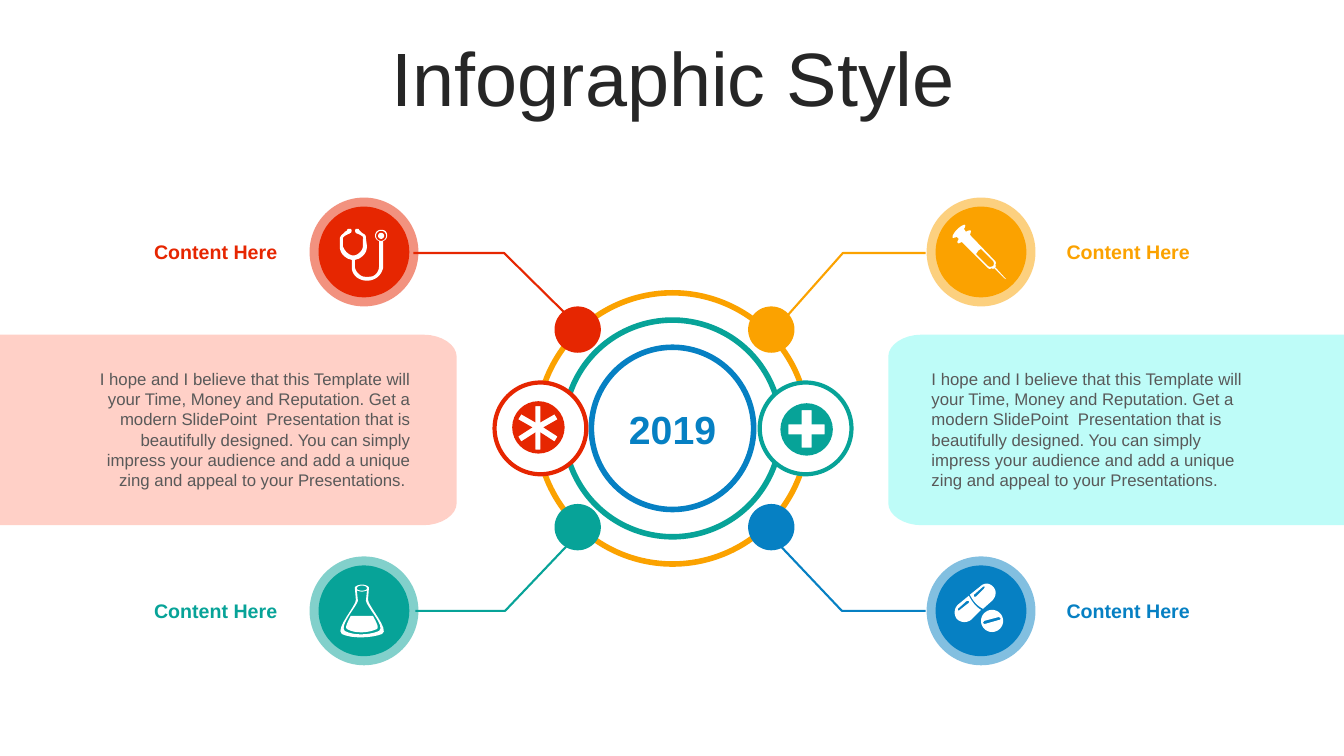
from lxml import etree
from pptx import Presentation
from pptx.dml.color import RGBColor
from pptx.enum.shapes import MSO_SHAPE
from pptx.enum.text import MSO_ANCHOR, PP_ALIGN
from pptx.oxml.ns import qn
from pptx.util import Inches, Pt

RED = RGBColor(0xE6, 0x26, 0x01)
ORANGE = RGBColor(0xFB, 0xA2, 0x00)
TEAL = RGBColor(0x07, 0xA3, 0x98)
BLUE = RGBColor(0x06, 0x80, 0xC3)
PINK = RGBColor(0xFF, 0xD0, 0xC7)
AQUA = RGBColor(0xBE, 0xFC, 0xF8)
WHITE = RGBColor(0xFF, 0xFF, 0xFF)
DARK = RGBColor(0x26, 0x26, 0x26)
GREY = RGBColor(0x59, 0x59, 0x59)
OVAL = MSO_SHAPE.OVAL
LEFT, CENTER, RIGHT = PP_ALIGN.LEFT, PP_ALIGN.CENTER, PP_ALIGN.RIGHT
TOP, MIDDLE = MSO_ANCHOR.TOP, MSO_ANCHOR.MIDDLE

# Content
TITLE = "Infographic Style"
YEAR = "2019"
LABEL = "Content Here"
BODY = (
    "I hope and I believe that this Template will your Time, Money and Reputation. "
    "Get a modern SlidePoint  Presentation that is beautifully designed. You can simply "
    "impress your audience and add a unique zing and appeal to your Presentations."
)
SLIDE_WIDTH = 13.33
CENTER_X, CENTER_Y = 6.67, 4.25
RINGS = [(2.69, ORANGE), (2.15, TEAL), (1.61, BLUE)]  # diameter, colour

# Icon outlines in parts: M, L, C and Z as in SVG; O is a circle (centre x, y, radius)
STETHOSCOPE = ["""
O 3.78 2.34 .03 O 3.78 2.34 .05
M 3.46 2.27 C 3.47 2.27 3.47 2.27 3.48 2.27 C 3.49 2.28 3.49 2.3 3.48 2.31
C 3.47 2.31 3.47 2.32 3.46 2.32 L 3.44 2.33 C 3.42 2.34 3.42 2.34 3.41 2.35
C 3.4 2.36 3.4 2.36 3.4 2.37 L 3.4 2.44 C 3.41 2.47 3.43 2.5 3.46 2.52
C 3.49 2.54 3.52 2.54 3.55 2.52 C 3.58 2.5 3.6 2.47 3.6 2.44 L 3.6 2.37
C 3.61 2.36 3.6 2.36 3.6 2.35 C 3.59 2.34 3.59 2.34 3.57 2.33 L 3.55 2.32""", """
C 3.54 2.32 3.53 2.31 3.53 2.31 C 3.52 2.3 3.52 2.28 3.53 2.27
C 3.54 2.27 3.54 2.27 3.55 2.27 C 3.55 2.27 3.56 2.27 3.56 2.28 L 3.58 2.3
C 3.6 2.32 3.61 2.32 3.62 2.33 C 3.63 2.34 3.63 2.36 3.63 2.37 L 3.64 2.44
C 3.64 2.49 3.62 2.53 3.57 2.56 C 3.56 2.57 3.54 2.57 3.52 2.58 L 3.52 2.64
C 3.52 2.68 3.55 2.72 3.59 2.74 C 3.62 2.75 3.66 2.75 3.7 2.74""", """
C 3.74 2.72 3.76 2.68 3.76 2.64 L 3.76 2.39 C 3.74 2.39 3.72 2.36 3.72 2.34
C 3.72 2.3 3.75 2.28 3.78 2.28 C 3.82 2.28 3.84 2.3 3.84 2.34
C 3.84 2.36 3.82 2.39 3.8 2.39 L 3.8 2.66 C 3.79 2.7 3.76 2.75 3.71 2.77
C 3.67 2.79 3.61 2.79 3.57 2.77 C 3.52 2.75 3.49 2.7 3.49 2.66 L 3.49 2.58
C 3.47 2.57 3.45 2.57 3.44 2.56 C 3.39 2.53 3.37 2.49 3.37 2.44 L 3.37 2.37
C 3.37 2.36 3.38 2.34 3.39 2.33 C 3.4 2.32 3.41 2.32 3.42 2.3 L 3.44 2.29
C 3.44 2.28 3.45 2.27 3.46 2.27 Z"""]
SYRINGE = ["""
M 9.73 2.47 C 9.73 2.47 9.71 2.48 9.7 2.49 C 9.69 2.51 9.68 2.52 9.68 2.52
L 9.8 2.64 C 9.81 2.65 9.83 2.65 9.85 2.64 C 9.86 2.63 9.86 2.6 9.85 2.59
C 9.81 2.55 9.77 2.51 9.74 2.48 Z""", """
M 9.57 2.23 C 9.58 2.24 9.57 2.26 9.56 2.27 L 9.58 2.3
C 9.6 2.29 9.62 2.28 9.63 2.29 C 9.63 2.29 9.63 2.31 9.62 2.33 L 9.87 2.59
C 9.88 2.6 9.88 2.62 9.87 2.63 L 9.88 2.64 L 9.87 2.65 L 9.98 2.77 L 9.96 2.76
L 9.86 2.66 L 9.85 2.67 L 9.84 2.66 C 9.82 2.67 9.81 2.67 9.8 2.66 L 9.54 2.4
C 9.52 2.41 9.51 2.42 9.5 2.41 C 9.49 2.4 9.5 2.39 9.51 2.37 L 9.49 2.35
C 9.47 2.36 9.46 2.36 9.45 2.36 C 9.44 2.35 9.46 2.31 9.49 2.28
C 9.52 2.25 9.55 2.23 9.57 2.23 Z"""]
FLASK = ["""
M 3.7 6.11 C 3.73 6.17 3.76 6.22 3.74 6.24 C 3.66 6.28 3.52 6.29 3.44 6.24
C 3.42 6.22 3.45 6.17 3.48 6.11 Z
M 3.54 5.86 L 3.55 5.96 C 3.55 6 3.36 6.21 3.42 6.26 C 3.51 6.31 3.67 6.3 3.76 6.26
C 3.83 6.22 3.63 6.01 3.63 5.96 L 3.64 5.86 C 3.63 5.86 3.61 5.87 3.59 5.87
C 3.57 5.87 3.55 5.86 3.54 5.86 Z""", """
M 3.59 5.81 C 3.56 5.81 3.54 5.82 3.54 5.84 C 3.54 5.85 3.56 5.86 3.59 5.86
C 3.62 5.86 3.64 5.85 3.64 5.84 C 3.64 5.82 3.62 5.81 3.59 5.81 Z
M 3.59 5.8 C 3.63 5.8 3.66 5.82 3.66 5.83 L 3.65 5.95
C 3.65 6.01 3.87 6.25 3.79 6.29 C 3.69 6.33 3.49 6.34 3.39 6.29
C 3.32 6.24 3.54 6 3.53 5.95 L 3.52 5.83 C 3.52 5.82 3.55 5.8 3.59 5.8 Z"""]
PILLS = ["""
M 9.91 6.12 L 9.76 6.16 C 9.76 6.17 9.75 6.17 9.75 6.18 C 9.76 6.19 9.76 6.19 9.77 6.19
L 9.91 6.15 C 9.92 6.15 9.93 6.14 9.92 6.13 Z O 9.84 6.16 .11
M 9.59 5.96 L 9.5 6.04 L 9.5 6.05 C 9.51 6.06 9.51 6.06 9.52 6.05 L 9.61 5.98
L 9.61 5.96 Z""", """
M 9.61 5.91 C 9.64 5.97 9.68 6.02 9.73 6.05 L 9.63 6.15
C 9.59 6.18 9.53 6.18 9.49 6.14 C 9.46 6.1 9.46 6.04 9.5 6 Z
M 9.75 5.82 L 9.66 5.9 L 9.66 5.92 L 9.68 5.92 L 9.76 5.84 L 9.77 5.82 Z
M 9.79 5.79 C 9.81 5.79 9.83 5.8 9.85 5.82 C 9.89 5.86 9.88 5.92 9.84 5.96
L 9.75 6.04 C 9.69 6.01 9.65 5.96 9.62 5.9 L 9.72 5.82 C 9.74 5.8 9.76 5.79 9.79 5.79 Z"""]
PLUS = ["""
M 7.95 4.07 L 7.95 4.21 L 7.82 4.21 L 7.82 4.31 L 7.95 4.31 L 7.95 4.44 L 8.05 4.44
L 8.05 4.31 L 8.18 4.31 L 8.18 4.21 L 8.05 4.21 L 8.05 4.07 Z O 8 4.26 .26"""]
ASTERISK = ["""
M 5.36 4.03 L 5.31 4.03 L 5.31 4.19 L 5.17 4.11 L 5.14 4.16 L 5.28 4.24 L 5.14 4.33
L 5.17 4.38 L 5.31 4.29 L 5.31 4.46 L 5.36 4.46 L 5.36 4.29 L 5.5 4.38 L 5.53 4.33
L 5.39 4.24 L 5.53 4.16 L 5.5 4.11 L 5.36 4.19 Z O 5.34 4.24 .26"""]

# Colour, badge centre, dot centre, leader line, label left, label alignment, icon
TOPICS = [
    (RED, (3.61, 2.5), (5.73, 3.27), ["M 5.76 3.26 L 5 2.51 L 4.1 2.51"], 1.37, RIGHT, STETHOSCOPE),
    (ORANGE, (9.73, 2.5), (7.65, 3.27), ["M 7.66 3.3 L 8.36 2.51 L 9.18 2.51"], 10.48, LEFT, SYRINGE),
    (TEAL, (3.61, 6.06), (5.73, 5.23), ["M 5.76 5.27 L 5.01 6.06 L 4.12 6.06"], 1.37, RIGHT, FLASK),
    (BLUE, (9.73, 6.06), (7.65, 5.23), ["M 7.64 5.31 L 8.35 6.06 L 9.18 6.06"], 10.48, LEFT, PILLS),
]
# Hub colour, hub x, icon, panel colour, outer edge, inner edge, text box, alignment, text
SIDES = [
    (RED, 5.36, ASTERISK, PINK, 0, 4.53, (0.77, 3.61, 3.4, 1.31), RIGHT, BODY + " "),
    (TEAL, 7.99, PLUS, AQUA, SLIDE_WIDTH, 8.81, (9.14, 3.61, 3.49, 1.31), LEFT, BODY),
]

presentation = Presentation()
presentation.slide_width, presentation.slide_height = Inches(SLIDE_WIDTH), Inches(7.5)
slide = presentation.slides.add_slide(presentation.slide_layouts[6])


def paint(shape, fill=None, line=None, width=1):
    shape.shadow.inherit = False
    if fill is None:
        shape.fill.background()
    else:
        shape.fill.solid()
        shape.fill.fore_color.rgb = fill
    if line is None:
        shape.line.fill.background()
    else:
        shape.line.color.rgb = line
        shape.line.width = Pt(width)
    return shape


def add_circle(shapes, x, y, diameter, **style):
    corner = Inches(x - diameter / 2), Inches(y - diameter / 2)
    return paint(shapes.add_shape(OVAL, *corner, Inches(diameter), Inches(diameter)), **style)


def trace(parts):
    """Turn outline parts into [points, closed] contours, with curves cut into short lines."""
    tokens = iter([token for part in parts for token in part.split()])
    contours = []
    for command in tokens:
        if command == "Z":
            contours[-1][1] = True
            continue
        count = {"M": 2, "L": 2, "C": 6, "O": 3}[command]
        values = [float(next(tokens)) for _ in range(count)]
        if command == "M":
            contours.append([[tuple(values)], False])
        elif command == "L":
            contours[-1][0].append(tuple(values))
        elif command == "C":
            points = contours[-1][0]
            controls = (points[-1], values[:2], values[2:4], values[4:])
            for t in (step / 8 for step in range(1, 9)):
                weights = ((1 - t) ** 3, 3 * t * (1 - t) ** 2, 3 * t * t * (1 - t), t ** 3)
                points.append(tuple(sum(w * c[axis] for w, c in zip(weights, controls)) for axis in (0, 1)))
        else:
            x, y, r = values
            k = 0.55 * r
            contours += trace([
                f"M {x} {y - r} C {x + k} {y - r} {x + r} {y - k} {x + r} {y}",
                f"C {x + r} {y + k} {x + k} {y + r} {x} {y + r}",
                f"C {x - k} {y + r} {x - r} {y + k} {x - r} {y}",
                f"C {x - r} {y - k} {x - k} {y - r} {x} {y - r} Z"])
    return contours


def add_outline(parts, **style):
    builder = None
    for points, closed in trace(parts):
        start, *rest = [(Inches(x), Inches(y)) for x, y in points]
        if builder is None:
            builder = slide.shapes.build_freeform(*start)
        else:
            builder.move_to(*start)
        builder.add_line_segments(rest, close=closed)
    return paint(builder.convert_to_shape(), **style)


def add_text(box, text, size, color, align, anchor=MIDDLE, bold=False):
    frame = slide.shapes.add_textbox(*map(Inches, box)).text_frame
    frame.word_wrap = True
    frame.vertical_anchor = anchor
    paragraph = frame.paragraphs[0]
    paragraph.alignment = align
    run = paragraph.add_run()
    run.text = text
    run.font.name, run.font.size, run.font.bold = "Arial", Pt(size), bold
    run.font.color.rgb = color
    return frame


# Title
title = add_text((0.35, 0.37, 12.66, 0.79), TITLE, 54, DARK, CENTER)
title.margin_top = Inches(0.15)
title.paragraphs[0].line_spacing = 0.9

# Leader lines and central rings
for color, _, _, leader, *_ in TOPICS:
    add_outline(leader, line=color, width=1.5)
for diameter, color in RINGS:
    add_circle(slide.shapes, CENTER_X, CENTER_Y, diameter, line=color, width=4)
add_text((5.93, 3.97, 1.48, 0.57), YEAR, 28, BLUE, CENTER, bold=True)

# Four topics: dot, badge with pale rim, icon and label
for color, badge, dot, _, label_left, align, icon in TOPICS:
    add_circle(slide.shapes, *dot, 0.46, fill=color)
    group = slide.shapes.add_group_shape()
    rim = add_circle(group.shapes, *badge, 1.08, fill=color)
    rim_color = rim._element.spPr.find(".//" + qn("a:srgbClr"))
    etree.SubElement(rim_color, qn("a:alpha"), val="50000")
    add_circle(group.shapes, *badge, 0.9, fill=color)
    add_outline(icon, fill=WHITE)
    add_text((label_left, badge[1] - 0.17, 1.48, 0.34), LABEL, 14, color, align, bold=True)

# Left and right: hub with icon, panel and text
for color, hub_x, icon, panel, outer, inner, box, align, text in SIDES:
    add_circle(slide.shapes, hub_x, CENTER_Y, 0.91, fill=WHITE, line=color, width=3)
    add_outline(icon, fill=color)
    toward = 1 if outer > inner else -1
    bend, turn = inner + toward * 0.33, inner + toward * 0.15
    add_outline([
        f"M {outer} 3.32 L {bend} 3.32 C {turn} 3.32 {inner} 3.42 {inner} 3.54",
        f"L {inner} 4.99 C {inner} 5.11 {turn} 5.21 {bend} 5.21 L {outer} 5.21 Z"], fill=panel)
    add_text(box, text, 12, GREY, align, anchor=TOP)

presentation.save("out.pptx")
